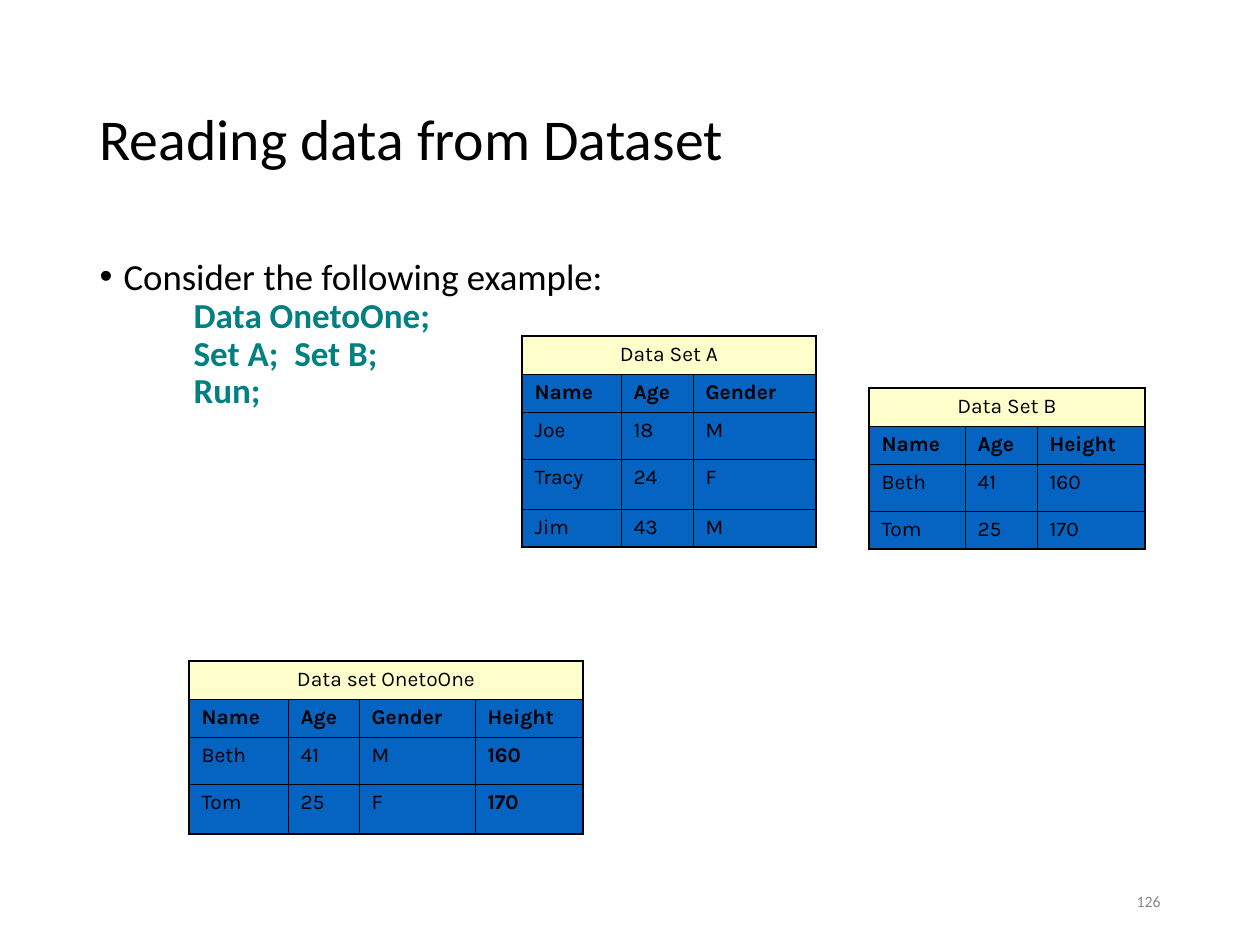
from lxml.etree import SubElement
from pptx import Presentation
from pptx.dml.color import RGBColor
from pptx.enum.text import MSO_ANCHOR, MSO_AUTO_SIZE, PP_ALIGN
from pptx.oxml.ns import qn
from pptx.util import Emu, Pt

COLOURS = {
    "black": "000000",
    "code": "008080",
    "number": "898989",
    "caption": "FFFFCC",
    "cell": "0563C1",
}
THICK, THIN = 1.08, 0.45


def px(length):
    """Turn px into EMU."""
    return Emu(round(length * 914400 / 126))


class SlideBuilder:
    """Hold the style and the current slide."""

    def __init__(self, presentation):
        """Add a slide with a title and a body."""
        self.slide = presentation.slides.add_slide(presentation.slide_layouts[1])
        self.font = "Calibri"
        self.table_font = "Karla"

    def place(self, shape, left, top, width, height):
        """Move and size a shape."""
        shape.left, shape.top = px(left), px(top)
        shape.width, shape.height = px(width), px(height)

    def format(self, paragraph, size, colour="black", bold=False, font=None):
        """Format the runs of a paragraph."""
        for run in paragraph.runs:
            run.font.name = font or self.font
            run.font.size = Pt(size)
            run.font.bold = bold
            run.font.color.rgb = RGBColor.from_string(COLOURS[colour])

    def title(self, text, box):
        """Fill the title placeholder."""
        shape = self.slide.shapes.title
        self.place(shape, *box)
        frame = shape.text_frame
        frame.text = text
        frame.auto_size = MSO_AUTO_SIZE.NONE
        frame.vertical_anchor = MSO_ANCHOR.MIDDLE
        paragraph = frame.paragraphs[0]
        paragraph.alignment = PP_ALIGN.LEFT
        paragraph.line_spacing = 0.9
        self.format(paragraph, 33)

    def body(self, lead, code_lines, box):
        """Fill the body placeholder with a bullet and code lines."""
        shape = self.slide.placeholders[1]
        self.place(shape, *box)
        frame = shape.text_frame
        frame.text = "\n".join([lead, *code_lines])
        frame.auto_size = MSO_AUTO_SIZE.NONE
        for index, paragraph in enumerate(frame.paragraphs):
            is_code = index > 0
            paragraph.level = int(is_code)
            properties = paragraph._p.get_or_add_pPr()
            properties.set("marL", str(px(118 if is_code else 24)))
            properties.set("indent", str(px(-24)))
            if is_code:
                SubElement(properties, qn("a:buNone"))
            paragraph.line_spacing = 0.9
            paragraph.space_before = Pt(0)
            if is_code:
                self.format(paragraph, 20, "code", True)
            else:
                self.format(paragraph, 21)

    def page_number(self, text, box):
        """Add the page number."""
        frame = self.slide.shapes.add_textbox(*map(px, box)).text_frame
        frame.word_wrap = True
        frame.vertical_anchor = MSO_ANCHOR.MIDDLE
        frame.text = text
        frame.paragraphs[0].alignment = PP_ALIGN.RIGHT
        self.format(frame.paragraphs[0], 9, "number")

    def borders(self, cell, widths):
        """Draw the left, right, top and bottom borders of a cell."""
        properties = cell._tc.get_or_add_tcPr()
        for side, width in zip("LRTB", widths):
            line = SubElement(properties, qn(f"a:ln{side}"), w=str(Pt(width)))
            fill = SubElement(line, qn("a:solidFill"))
            SubElement(fill, qn("a:srgbClr"), val=COLOURS["black"])

    def table(self, left, top, columns, heights, caption, rows, bold_columns=()):
        """Add a data set table with a caption across its first row."""
        grid = [[caption] + [""] * (len(columns) - 1), *rows]
        frame = self.slide.shapes.add_table(
            len(grid), len(columns), px(left), px(top), px(sum(columns)), px(sum(heights))
        )
        table = frame.table
        table.first_row = table.horz_banding = False
        for column, width in zip(table.columns, columns):
            column.width = px(width)
        for row, height in zip(table.rows, heights):
            row.height = px(height)
        table.cell(0, 0).merge(table.cell(0, len(columns) - 1))
        last_row, last_column = len(grid) - 1, len(columns) - 1
        for r, texts in enumerate(grid):
            for c, text in enumerate(texts):
                cell = table.cell(r, c)
                outer = (c == 0, r == 0 or c == last_column, r == 0, r == last_row)
                self.borders(cell, [THICK if edge else THIN for edge in outer])
                cell.fill.solid()
                fill = COLOURS["cell" if r else "caption"]
                cell.fill.fore_color.rgb = RGBColor.from_string(fill)
                if text:
                    cell.text_frame.text = text
                    paragraph = cell.text_frame.paragraphs[0]
                    paragraph.alignment = PP_ALIGN.LEFT if r else PP_ALIGN.CENTER
                    bold = r == 1 or (r > 1 and c in bold_columns)
                    self.format(paragraph, 12, bold=bold, font=self.table_font)


def main():
    """Build and save the slide."""
    presentation = Presentation()
    presentation.slide_width, presentation.slide_height = px(1260), px(945)
    builder = SlideBuilder(presentation)
    builder.title("Reading data from Dataset", (87, 50, 1087, 183))
    builder.body(
        "Consider the following example:",
        ["Data OnetoOne;", "Set A;  Set B;", "Run;"],
        (87, 252, 1087, 600),
    )
    builder.page_number("126", (890, 876, 283, 50))
    builder.table(
        522, 336, (99, 72, 123), (38, 38, 47, 50, 38), "Data Set A",
        [("Name", "Age", "Gender"), ("Joe", "18", "M"), ("Tracy", "24", "F"), ("Jim", "43", "M")],
    )
    builder.table(
        869, 388, (96, 72, 108), (38, 38, 47, 38), "Data Set B",
        [("Name", "Age", "Height"), ("Beth", "41", "160"), ("Tom", "25", "170")],
    )
    builder.table(
        189, 661, (99, 71, 116, 108), (38, 38, 47, 50), "Data set OnetoOne",
        [("Name", "Age", "Gender", "Height"), ("Beth", "41", "M", "160"), ("Tom", "25", "F", "170")],
        bold_columns=(3,),
    )
    presentation.save("out.pptx")


if __name__ == "__main__":
    main()
